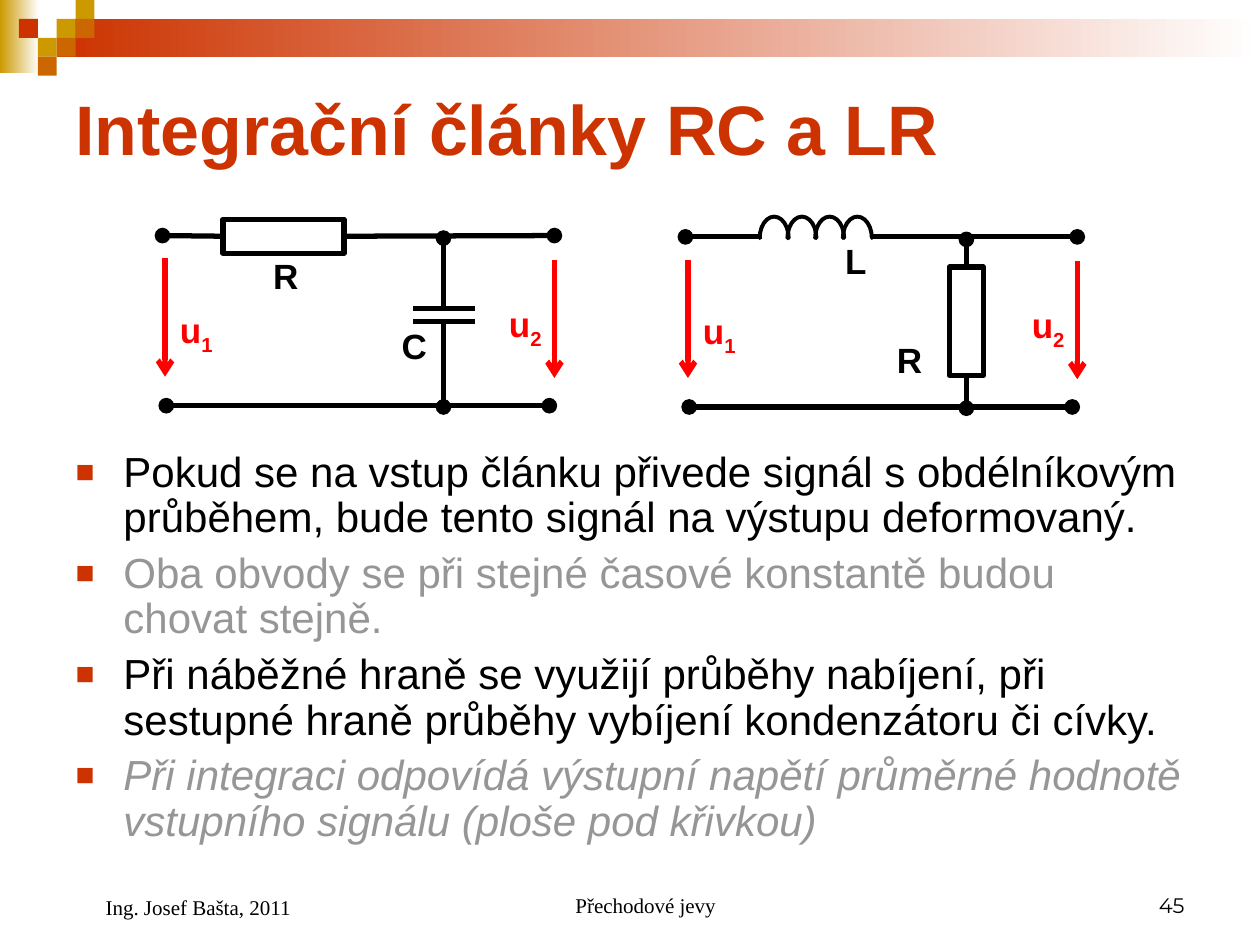
from pptx import Presentation
from pptx.dml.color import RGBColor
from pptx.enum.shapes import MSO_CONNECTOR, MSO_SHAPE
from pptx.enum.text import MSO_ANCHOR, MSO_AUTO_SIZE, PP_ALIGN
from pptx.oxml.ns import qn
from pptx.util import Inches, Pt
from lxml import etree

RED, GOLD, ORANGE = "CC3300", "CC9900", "CC6600"
BLACK, GREY, SIGNAL, WHITE = "000000", "969696", "FF0000", "FFFFFF"


def rgb(color):
    return RGBColor.from_string(color)


def add_run(p, text, size=20, font="Arial", color=BLACK, bold=False, italic=False, baseline=0):
    r = p.add_run()
    r.text = text
    f = r.font
    f.size, f.name, f.bold, f.italic = Pt(size), font, bold, italic
    f.color.rgb = rgb(color)
    if baseline:
        r._r.get_or_add_rPr().set("baseline", str(baseline * 1000))
    return r


def place(sp, x, y, w, h):
    sp.left, sp.top, sp.width, sp.height = Inches(x), Inches(y), Inches(w), Inches(h)


def add_box(s, kind, x, y, w, h, fill=None, fade=False, line=None):
    sp = s.shapes.add_shape(kind, Inches(x), Inches(y), Inches(w), Inches(h))
    sp.shadow.inherit = False
    if fade:
        sp.fill.gradient()
        sp.fill.gradient_angle = 0
        for stop, color in zip(sp.fill.gradient_stops, (fill, WHITE)):
            stop.color.rgb = rgb(color)
    elif fill:
        sp.fill.solid()
        sp.fill.fore_color.rgb = rgb(fill)
    else:
        sp.fill.background()
    if line:
        sp.line.color.rgb = rgb(BLACK)
        sp.line.width = Pt(line)
    else:
        sp.line.fill.background()
    return sp


def add_wire(s, x1, y1, x2, y2, color=BLACK, head=None, tail=None, joined=None):
    """Draw a wire; joined is the (shape, side) at which it starts."""
    c = s.shapes.add_connector(MSO_CONNECTOR.STRAIGHT, Inches(x1), Inches(y1), Inches(x2), Inches(y2))
    c.line.color.rgb = rgb(color)
    c.line.width = Pt(3)
    ln = c.line._get_or_add_ln()
    for tag, end in (("a:headEnd", head), ("a:tailEnd", tail)):
        if end:
            etree.SubElement(ln, qn(tag)).set("type", end)
    etree.SubElement(c._element.spPr, qn("a:effectLst"))
    if joined:
        c.begin_connect(*joined)


def add_label(s, x, y, text, sub="", color=BLACK):
    tb = s.shapes.add_textbox(Inches(x), Inches(y), Inches(0.55 if sub else 0.46), Inches(0.46))
    tb.text_frame.word_wrap = True
    p = tb.text_frame.paragraphs[0]
    add_run(p, text, color=color, bold=True)
    if sub:
        add_run(p, sub, color=color, bold=True, baseline=-25)


def add_decoration(s):
    add_box(s, MSO_SHAPE.RECTANGLE, 0, 0, 0.31, 0.58, GOLD, fade=True)
    add_box(s, MSO_SHAPE.RECTANGLE, 0.45, 0.15, 9.55, 0.3, RED, fade=True)
    side = 0.15
    squares = [(3, 1, GOLD), (4, 0, GOLD), (4, 1, ORANGE), (2, 2, GOLD),
               (1, 1, RED), (3, 2, ORANGE), (2, 3, ORANGE)]
    for col, row, color in squares:
        add_box(s, MSO_SHAPE.RECTANGLE, col * side, row * side, side, side, color)


def add_title(s, x, y, w, h):
    title = s.shapes.title
    place(title, x, y, w, h)
    tf = title.text_frame
    tf.auto_size = MSO_AUTO_SIZE.NONE
    tf.vertical_anchor = MSO_ANCHOR.MIDDLE
    p = tf.paragraphs[0]
    p.alignment = PP_ALIGN.LEFT
    add_run(p, "Integrační články RC a LR", size=40, color=RED, bold=True)


def set_bullet(p):
    pPr = p._p.get_or_add_pPr()
    pPr.set("marL", str(Inches(0.38)))
    pPr.set("indent", str(-Inches(0.38)))
    color = etree.SubElement(pPr, qn("a:buClr"))
    etree.SubElement(color, qn("a:srgbClr")).set("val", RED)
    etree.SubElement(pPr, qn("a:buSzPct")).set("val", "75000")
    etree.SubElement(pPr, qn("a:buFont")).set("typeface", "Arial")
    etree.SubElement(pPr, qn("a:buChar")).set("char", "■")


def add_body(s, x, y, w, h):
    body = s.placeholders[1]
    place(body, x, y, w, h)
    tf = body.text_frame
    tf.auto_size = MSO_AUTO_SIZE.NONE
    items = [
        ("Pokud se na vstup článku přivede signál s obdélníkovým průběhem, "
         "bude tento signál na výstupu deformovaný.", BLACK, False),
        ("Oba obvody se při stejné časové konstantě budou chovat stejně.", GREY, False),
        ("Při náběžné hraně se využijí průběhy nabíjení, při sestupné hraně "
         "průběhy vybíjení kondenzátoru či cívky.", BLACK, False),
        ("Při integraci odpovídá výstupní napětí průměrné hodnotě vstupního "
         "signálu (ploše pod křivkou)", GREY, True),
    ]
    for i, (text, color, italic) in enumerate(items):
        p = tf.add_paragraph() if i else tf.paragraphs[0]
        set_bullet(p)
        p.line_spacing = 0.9
        p.space_before = Pt(6 if i else 0)
        add_run(p, text, size=24, color=color, italic=italic)


def add_terminals(s, x, y, w):
    """Bottom wire and the input and output voltages, common to both circuits."""
    add_wire(s, x + w - 0.04, y + 1.35, x + 0.03, y + 1.35, head="oval", tail="oval")
    add_wire(s, x + 0.02, y + 0.18, x + 0.02, y + 1.12, SIGNAL, tail="arrow")
    add_wire(s, x + w, y + 0.19, x + w, y + 1.13, SIGNAL, tail="arrow")
    add_label(s, x + 0.04, y + 0.53, "u", "1", SIGNAL)
    add_label(s, x + w - 0.46, y + 0.48, "u", "2", SIGNAL)


def add_rc_circuit(s, x, y, w):
    add_terminals(s, x, y, w)
    # Series resistor
    resistor = add_box(s, MSO_SHAPE.RECTANGLE, x + 0.48, y - 0.13, 0.96, 0.27, line=3)
    add_wire(s, x + 0.48, y, x, y, tail="oval", joined=(resistor, 1))
    add_wire(s, x + 1.44, y, x + w, y, tail="oval", joined=(resistor, 3))
    add_label(s, x + 0.78, y + 0.1, "R")
    # Capacitor across the output
    branch = x + 2.23
    for plate, node in ((0.58, 0.02), (0.68, 1.36)):
        add_wire(s, branch - 0.24, y + plate, branch + 0.25, y + plate)
        add_wire(s, branch, y + plate, branch, y + node, tail="oval")
    add_label(s, x + 1.8, y + 0.66, "C")


def add_lr_circuit(s, x, y, w):
    add_terminals(s, x, y, w)
    # Series coil
    for i in range(4):
        turn = add_box(s, MSO_SHAPE.BLOCK_ARC, x + 0.59 + 0.22 * i, y - 0.16, 0.23, 0.34, "FFCC00", line=2.25)
        for k, value in enumerate((107.89, 0.11, 0)):
            turn.adjustments[k] = value
    add_wire(s, x + 0.61, y, x, y, tail="oval")
    add_wire(s, x + 1.49, y, x + w, y, tail="oval")
    add_label(s, x + 1.17, y - 0.03, "L")
    # Resistor across the output
    branch = x + 2.23
    resistor = add_box(s, MSO_SHAPE.RECTANGLE, branch - 0.27 / 2, y + 0.24, 0.27, 0.86, line=3)
    add_wire(s, branch, y + 0.24, branch, y + 0.02, tail="oval", joined=(resistor, 0))
    add_wire(s, branch, y + 1.1, branch, y + 1.36, tail="oval", joined=(resistor, 2))
    add_label(s, x + 1.58, y + 0.76, "R")


def add_footer(s, x, y, w, h, text, align, font="Times New Roman", indent=0.0):
    tb = s.shapes.add_textbox(Inches(x), Inches(y), Inches(w), Inches(h))
    tf = tb.text_frame
    tf.word_wrap = True
    tf.vertical_anchor = MSO_ANCHOR.BOTTOM
    p = tf.paragraphs[0]
    p.alignment = align
    p._p.get_or_add_pPr().set("marL", str(Inches(indent)))
    add_run(p, text, size=12, font=font)


def main():
    prs = Presentation()
    prs.slide_width, prs.slide_height = Inches(10), Inches(7.5)
    s = prs.slides.add_slide(prs.slide_layouts[1])
    add_decoration(s)
    add_title(s, 0.5, 0.5, 9, 1.03)
    add_body(s, 0.5, 3.53, 9, 3.23)
    add_rc_circuit(s, 1.29, 1.87, 3.11)
    add_lr_circuit(s, 5.44, 1.88, 3.11)
    add_footer(s, 3.42, 6.83, 3.17, 0.5, "Přechodové jevy", PP_ALIGN.CENTER, indent=0.24)
    add_footer(s, 7.17, 6.83, 2.33, 0.5, "45", PP_ALIGN.RIGHT, font="Montserrat")
    add_footer(s, 0.5, 6.83, 2.33, 0.52, "Ing. Josef Bašta, 2011", PP_ALIGN.LEFT, indent=0.24)
    prs.save("out.pptx")


if __name__ == "__main__":
    main()
